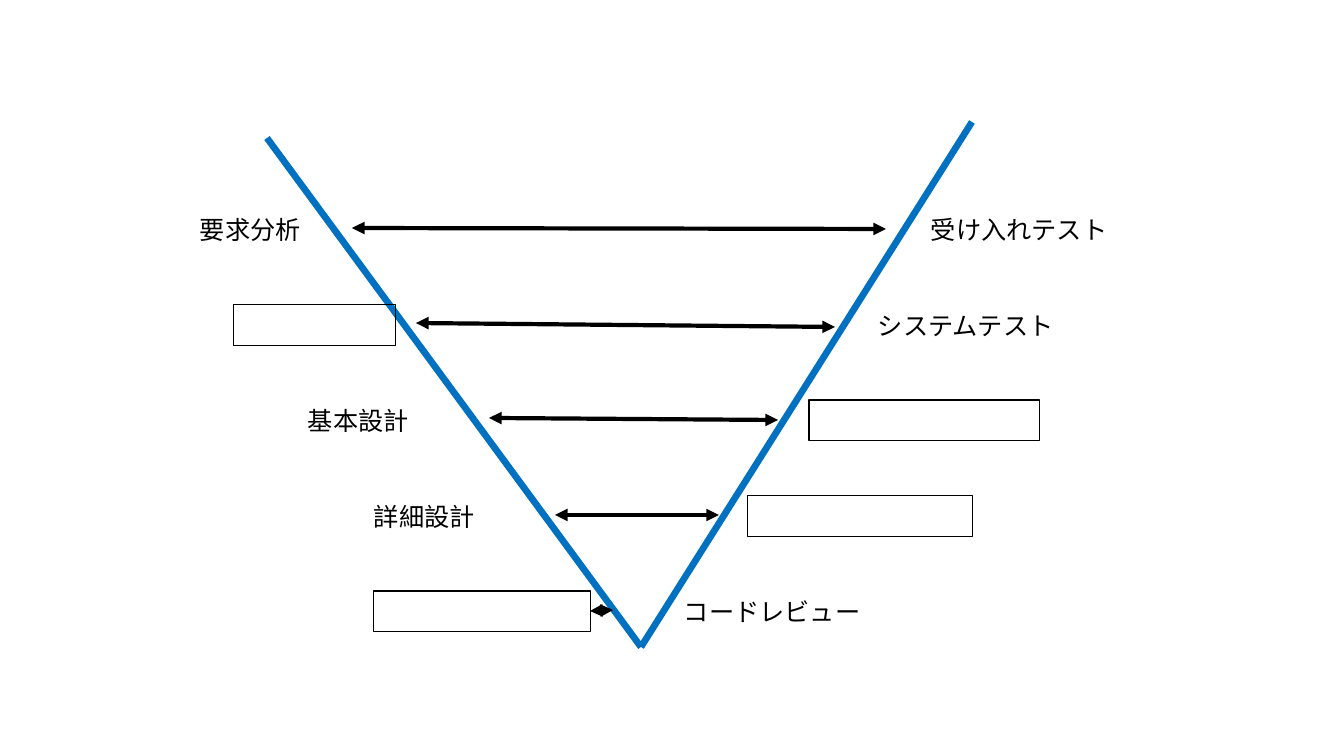
from pptx import Presentation
from pptx.dml.color import RGBColor
from pptx.enum.shapes import MSO_CONNECTOR as Connector, MSO_SHAPE as Shape
from pptx.enum.text import MSO_ANCHOR as Anchor
from pptx.oxml.ns import qn
from pptx.util import Pt
from lxml.etree import SubElement

# Each entry: wording (empty for a blank answer box), left, width
DESIGN_PHASES = [
    ("要求分析", 190, 162),
    ("", 234, 162),
    ("基本設計", 298, 162),
    ("詳細設計", 364, 162),
    ("", 374, 217),
]
TEST_PHASES = [
    ("受け入れテスト", 921, 251),
    ("システムテスト", 868, 276),
    ("", 809, 231),
    ("", 748, 225),
    ("コードレビュー", 674, 262),
]
V_TIP = (641, 647)
V_ENDS = [(267, 138), (972, 122)]
PHASE_ARROWS = [
    ((352, 228), (886, 229)),
    ((416, 323), (835, 327)),
    ((489, 418), (778, 420)),
    ((555, 515), (719, 515)),
    ((613, 610), (590, 611)),
]
FIRST_ROW, ROW_PITCH, ROW_HEIGHT = 209, 95.5, 41
PAGE_WIDTH, PAGE_HEIGHT = 1344, 756

THEME = {
    "font": "Noto Sans CJK JP",
    "text_size": 18,
    "ink": RGBColor(0, 0, 0),
    "v_colour": RGBColor(0x00, 0x70, 0xC0),
    "v_width": 4.75,
    "arrow_width": 3,
    "box_width": 0.75,
}


def px(length):
    """Turn pixels at 100.8 to the inch into EMU."""
    return round(length * 914400 / 100.8)


def add_line(page, start, end, colour, width, arrows=False):
    """Draw a straight line, with a head at both ends if asked."""
    line = page.shapes.add_connector(
        Connector.STRAIGHT, *map(px, (*start, *end)))
    line.line.color.rgb = colour
    line.line.width = Pt(width)
    if arrows:
        outline = line.line._get_or_add_ln()
        for end_tag in ("a:headEnd", "a:tailEnd"):
            SubElement(outline, qn(end_tag), type="triangle")
    SubElement(line._element.spPr, qn("a:effectLst"))


def add_label(page, wording, *place):
    """Write one phase name, centred vertically in its row."""
    box = page.shapes.add_textbox(*map(px, place))
    frame = box.text_frame
    frame.word_wrap = True
    frame.vertical_anchor = Anchor.MIDDLE
    frame.margin_top = frame.margin_bottom = 0
    frame.text = wording
    font = frame.paragraphs[0].runs[0].font
    font.name = THEME["font"]
    font.size = Pt(THEME["text_size"])
    font.color.rgb = THEME["ink"]
    SubElement(font._element, qn("a:ea"), typeface=THEME["font"])


def add_answer_box(page, *place):
    """Draw an empty outlined box for a phase left to fill in."""
    box = page.shapes.add_shape(Shape.RECTANGLE, *map(px, place))
    box.shadow.inherit = False
    box.fill.background()
    box.line.color.rgb = THEME["ink"]
    box.line.width = Pt(THEME["box_width"])


def add_phases(page, phases):
    """Place one side of the V, a phase to each row."""
    for row, (wording, left, width) in enumerate(phases):
        place = (left, FIRST_ROW + row * ROW_PITCH, width, ROW_HEIGHT)
        if wording:
            add_label(page, wording, *place)
        else:
            add_answer_box(page, *place)


deck = Presentation()
deck.slide_width, deck.slide_height = px(PAGE_WIDTH), px(PAGE_HEIGHT)
page = deck.slides.add_slide(deck.slide_layouts[6])

for v_end in V_ENDS:
    add_line(page, v_end, V_TIP, THEME["v_colour"], THEME["v_width"])
for phases in (DESIGN_PHASES, TEST_PHASES):
    add_phases(page, phases)
for start, end in PHASE_ARROWS:
    add_line(page, start, end, THEME["ink"], THEME["arrow_width"], arrows=True)

deck.save("out.pptx")
